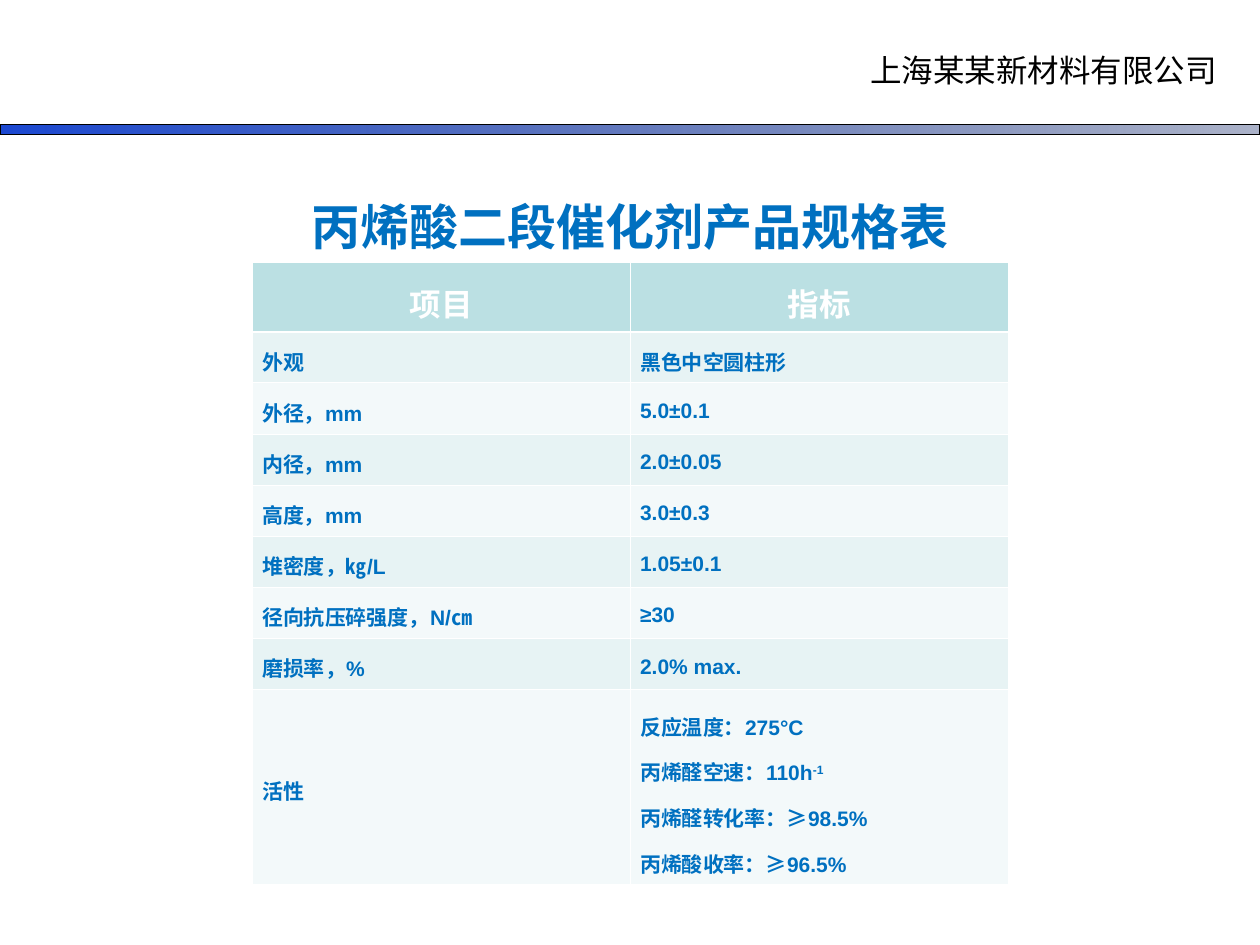
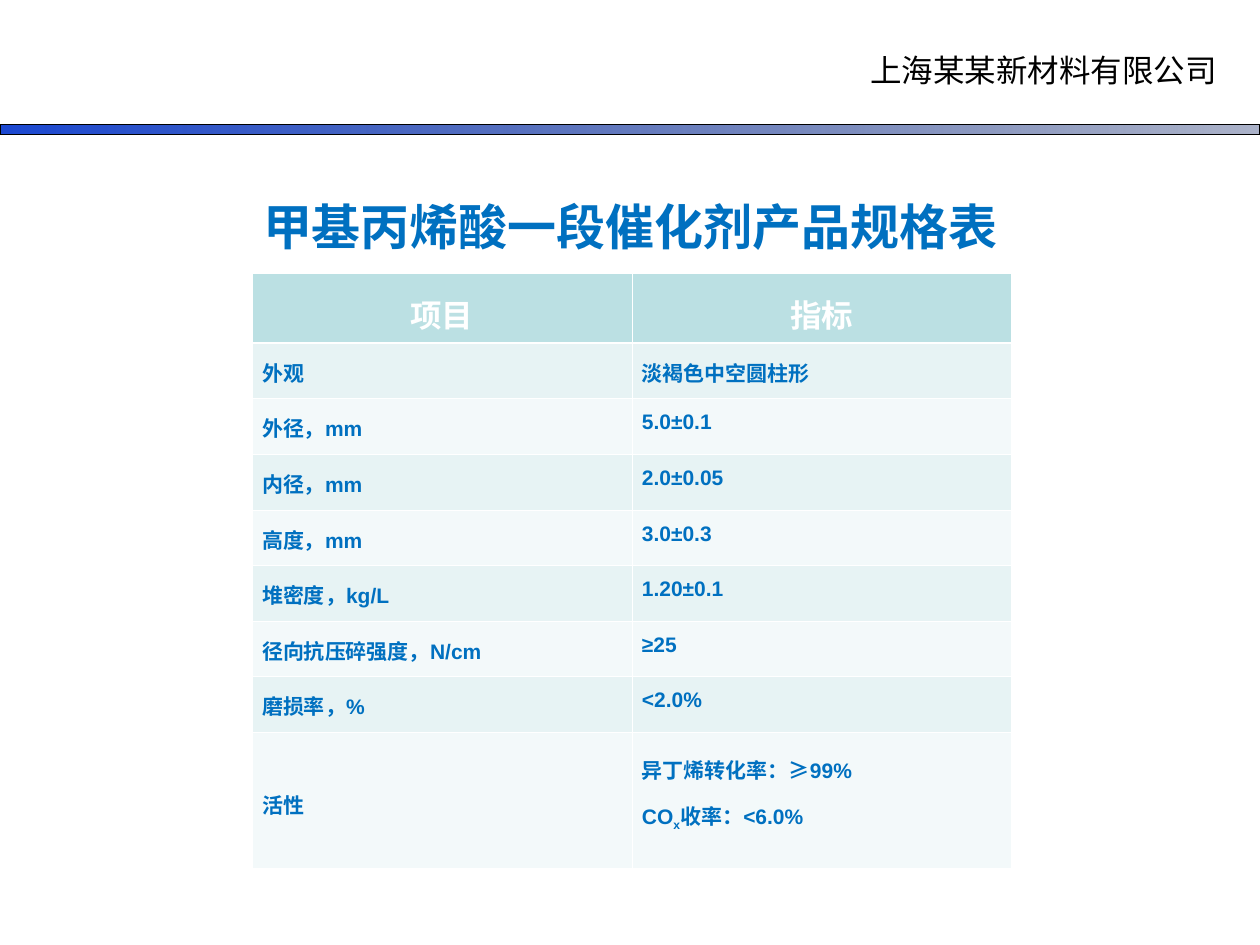
import pptx
import pptx.dml.color
import pptx.enum.shapes
import pptx.enum.text
import pptx.oxml
import pptx.oxml.ns
import pptx.util
from lxml import etree

COLS, ROWS = 100, 75
SLIDE_W, SLIDE_H = pptx.util.Inches(10), pptx.util.Inches(7.5)
LATIN, CJK = "Arial", "Noto Sans CJK SC"
BLUE, WHITE, BLACK = "0070C0", "FFFFFF", "000000"
HEAD_FILL, BANDS = "BBE0E3", ("E7F3F4", "F3F9FA")
BAND_STOPS = (("0033CC", 90), ("00185E", 33))
THIN, THICK = 0.45, 1.47
COMPANY = "上海某某新材料有限公司"

ALIGN = pptx.enum.text.PP_ALIGN
ANCHOR = pptx.enum.text.MSO_ANCHOR
AUTO = pptx.enum.text.MSO_AUTO_SIZE
qn = pptx.oxml.ns.qn

COMPANY_BOX = (68.1, 3.6, 29.9, 4)
BAND_BOX = (0, 9.9, COLS, 0.8)
TITLE_BOX = (5, 11.7, 90, 12.5)

SPECS = [
    dict(
        title="丙烯酸二段催化剂产品规格表",
        box=(20, 20.8, 60, 48.3), head=5, last=14.9,
        align=ALIGN.LEFT, body_anchor=ANCHOR.MIDDLE,
        rows=[
            ("外观", "黑色中空圆柱形"),
            ("外径，mm", "5.0±0.1"),
            ("内径，mm", "2.0±0.05"),
            ("高度，mm", "3.0±0.3"),
            ("堆密度，㎏/L", "1.05±0.1"),
            ("径向抗压碎强度，N/㎝", "≥30"),
            ("磨损率，%", "2.0% max."),
        ],
        activity=[
            ["反应温度：275°C"],
            ["丙烯醛空速：110h", ("-1", 30)],
            ["丙烯醛转化率：≥98.5%"],
            ["丙烯酸收率：≥96.5%"],
        ],
    ),
    dict(
        title="甲基丙烯酸一段催化剂产品规格表",
        box=(20, 21.7, 60.3, 47.1), head=5.4, last=10.8,
        align=ALIGN.JUSTIFY, body_anchor=ANCHOR.TOP,
        rows=[
            ("外观", "淡褐色中空圆柱形"),
            ("外径，mm", "5.0±0.1"),
            ("内径，mm", "2.0±0.05"),
            ("高度，mm", "3.0±0.3"),
            ("堆密度，kg/L", "1.20±0.1"),
            ("径向抗压碎强度，N/cm", "≥25"),
            ("磨损率，%", "<2.0%"),
        ],
        activity=[
            ["异丁烯转化率：≥99%"],
            ["CO", ("x", -25), "收率：<6.0%"],
        ],
    ),
]


def rgb(color):
    return pptx.dml.color.RGBColor.from_string(color)


def grid_y(rows):
    return round(SLIDE_H * rows / ROWS)


def grid_box(box):
    """Turn (column, row, columns, rows) into left, top, width, height."""
    x, y, w, h = box
    return (round(SLIDE_W * x / COLS), grid_y(y),
            round(SLIDE_W * w / COLS), grid_y(h))


def set_attrs(obj, **values):
    for name, value in values.items():
        setattr(obj, name, value)


def add_run(p, text, size, color, bold=False, latin=LATIN, baseline=0):
    r = p.add_run()
    r.text = text
    set_attrs(r.font, name=latin, size=pptx.util.Pt(size), bold=bold)
    r.font.color.rgb = rgb(color)
    rpr = r._r.get_or_add_rPr()
    etree.SubElement(rpr, qn("a:ea"), typeface=CJK)
    if baseline:
        rpr.set("baseline", str(baseline * 1000))


def add_header(slide):
    """Draw the company name and the gradient band; return both shapes."""
    name = slide.shapes.add_textbox(*grid_box(COMPANY_BOX))
    name.text_frame.auto_size = AUTO.SHAPE_TO_FIT_TEXT
    add_run(name.text_frame.paragraphs[0], COMPANY, 18, BLACK)

    band = slide.shapes.add_shape(
        pptx.enum.shapes.MSO_SHAPE.RECTANGLE, *grid_box(BAND_BOX))
    band.shadow.inherit = False
    band.line.color.rgb = rgb(BLACK)
    band.line.width = pptx.util.Pt(0.75)
    band.fill.gradient()
    band.fill.gradient_angle = 0
    for stop, (color, opacity) in zip(band.fill.gradient_stops, BAND_STOPS):
        stop.color.rgb = rgb(color)
    for clr, (color, opacity) in zip(
            band.element.spPr.iterfind(".//" + qn("a:gs") + "/" + qn("a:srgbClr")),
            BAND_STOPS):
        etree.SubElement(clr, qn("a:alpha"), val=str(opacity * 1000))
    return name, band


def share_header(slide):
    """Move the header to the layout, so that every slide shows it."""
    for sp in add_header(slide):
        slide.slide_layout.shapes.element.append(sp.element)


def set_title(slide, text):
    title = slide.shapes.title
    left, top, width, height = grid_box(TITLE_BOX)
    set_attrs(title, left=left, top=top, width=width, height=height)
    tf = title.text_frame
    set_attrs(tf, vertical_anchor=ANCHOR.MIDDLE, word_wrap=True,
              auto_size=AUTO.NONE)
    p = tf.paragraphs[0]
    p.alignment = ALIGN.CENTER
    add_run(p, text, 28, BLUE, bold=True, latin=CJK)


def set_borders(cell, top=THIN, bottom=THIN):
    tcpr = cell._tc.get_or_add_tcPr()
    widths = dict(lnL=THIN, lnR=THIN, lnT=top, lnB=bottom)
    for i, (side, width) in enumerate(widths.items()):
        ln = etree.Element(qn("a:" + side), w=str(pptx.util.Pt(width)))
        fill = etree.SubElement(ln, qn("a:solidFill"))
        etree.SubElement(fill, qn("a:srgbClr"), val=WHITE)
        tcpr.insert(i, ln)


def fill_cell(cell, paragraphs, fill, anchor, align, spacing=1.25,
              size=12, color=BLUE):
    """Write paragraphs of runs; a run is a text or (text, baseline percent)."""
    side, edge = pptx.util.Inches(0.08), pptx.util.Inches(0.05)
    set_attrs(cell, vertical_anchor=anchor, margin_left=side,
              margin_right=side, margin_top=edge, margin_bottom=edge)
    cell.fill.solid()
    cell.fill.fore_color.rgb = rgb(fill)
    tf = cell.text_frame
    for i, runs in enumerate(paragraphs):
        p = tf.add_paragraph() if i else tf.paragraphs[0]
        set_attrs(p, alignment=align, line_spacing=spacing)
        for run in runs:
            text, baseline = (run, 0) if isinstance(run, str) else run
            add_run(p, text, size, color, bold=True, baseline=baseline)


def add_spec_table(slide, spec):
    n_body = len(spec["rows"])
    last = n_body + 1
    table = slide.shapes.add_table(n_body + 2, 2, *grid_box(spec["box"])).table
    table.horz_banding = False

    body_height = (spec["box"][3] - spec["head"] - spec["last"]) / n_body
    heights = [spec["head"]] + [body_height] * n_body + [spec["last"]]
    for row, height in zip(table.rows, heights):
        row.height = grid_y(height)

    for cell, text in zip(table.rows[0].cells, ("项目", "指标")):
        fill_cell(cell, [[text]], HEAD_FILL, ANCHOR.MIDDLE, ALIGN.CENTER,
                  size=18, color=WHITE)
        set_borders(cell, bottom=THICK)

    for i, texts in enumerate(spec["rows"], 1):
        for cell, text in zip(table.rows[i].cells, texts):
            fill_cell(cell, [[text]], BANDS[(i - 1) % 2],
                      spec["body_anchor"], spec["align"])
            set_borders(cell, top=THICK if i == 1 else THIN)

    label, values = table.rows[last].cells
    fill = BANDS[n_body % 2]
    fill_cell(label, [["活性"]], fill, ANCHOR.MIDDLE, spec["align"])
    fill_cell(values, spec["activity"], fill, spec["body_anchor"],
              spec["align"], spacing=1.5)
    for cell in (label, values):
        set_borders(cell)


def main():
    prs = pptx.Presentation()
    set_attrs(prs, slide_width=SLIDE_W, slide_height=SLIDE_H)
    title_only = prs.slide_layouts[5]
    for i, spec in enumerate(SPECS):
        slide = prs.slides.add_slide(title_only)
        if i == 0:
            share_header(slide)
        set_title(slide, spec["title"])
        add_spec_table(slide, spec)
    prs.save("out.pptx")


if __name__ == "__main__":
    main()
